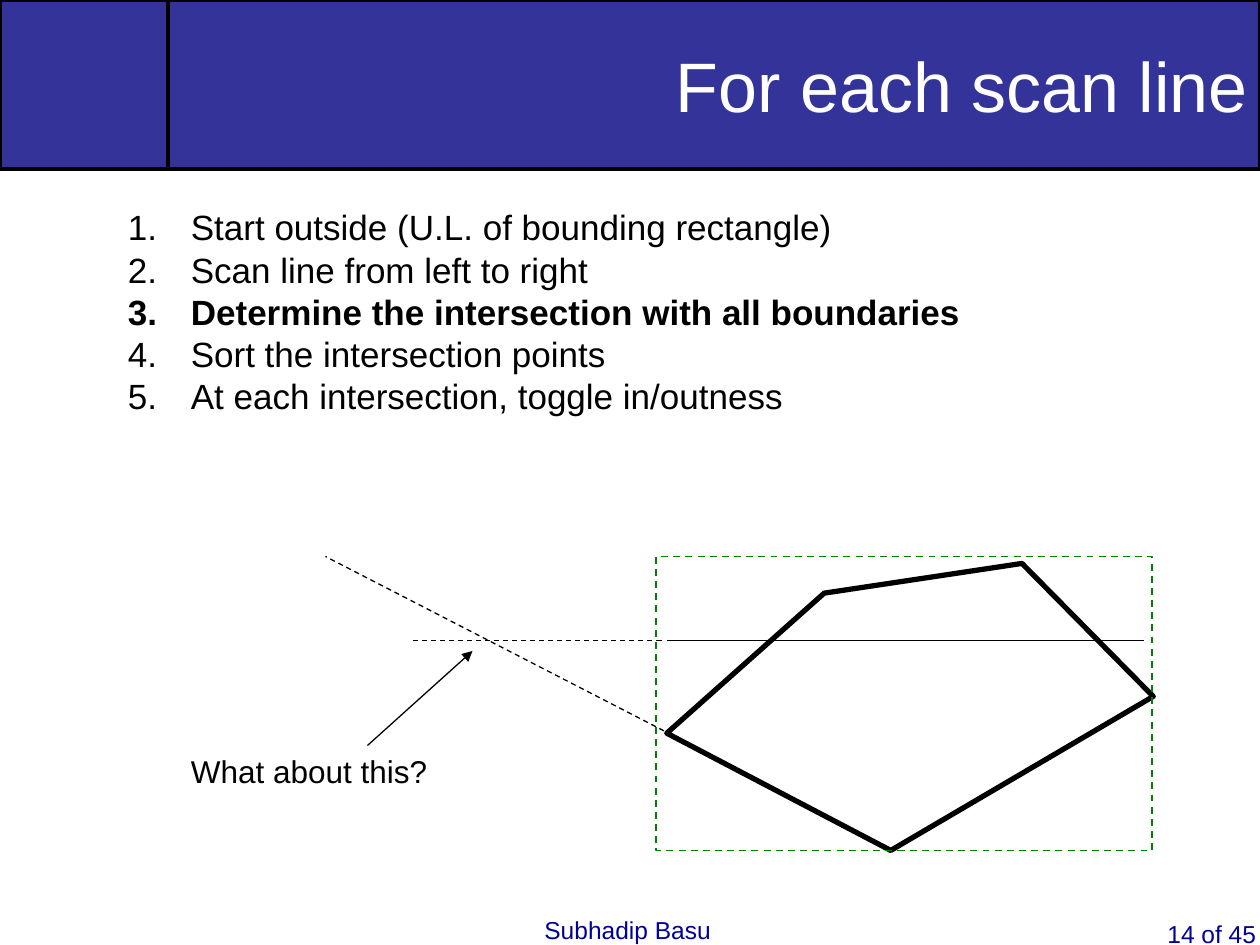
from lxml import etree
from pptx import Presentation
from pptx.dml.color import RGBColor
from pptx.enum import dml, shapes, text
from pptx.oxml.ns import qn
from pptx.util import Pt

BLACK = RGBColor(0, 0, 0)
WHITE = RGBColor(255, 255, 255)
HEADER_BLUE = RGBColor(0x33, 0x33, 0x99)
FOOTER_BLUE = RGBColor(0, 0, 0x99)
BOUNDS_GREEN = RGBColor(0, 0x80, 0)
FONT = "Arial"
STEPS = [
    "Start outside (U.L. of bounding rectangle)",
    "Scan line from left to right",
    "Determine the intersection with all boundaries",
    "Sort the intersection points",
    "At each intersection, toggle in/outness",
]
KEY_STEP = 2


def set_line(shape, color, width, dashed=False):
    """Format the line of a shape or connector."""
    shape.line.color.rgb = color
    shape.line.width = Pt(width)
    if dashed:
        shape.line.dash_style = dml.MSO_LINE.DASH


def set_font(paragraph, size, color, bold=False):
    """Format every run of a paragraph."""
    for run in paragraph.runs:
        run.font.name = FONT
        run.font.size = Pt(size)
        run.font.color.rgb = color
        run.font.bold = bold


def fill_header(shape):
    """Give a header panel its fill and border."""
    shape.fill.solid()
    shape.fill.fore_color.rgb = HEADER_BLUE
    set_line(shape, BLACK, 2)


def add_header(slide, left, top, width, height):
    """Place the square corner panel and the title beside it."""
    corner_width = 96
    corner = slide.shapes.add_shape(
        shapes.MSO_SHAPE.RECTANGLE, Pt(left), Pt(top), Pt(corner_width), Pt(height))
    corner.shadow.inherit = False
    fill_header(corner)

    title = slide.shapes.title
    title.left, title.top = Pt(left + corner_width), Pt(top)
    title.width, title.height = Pt(width - corner_width), Pt(height)
    fill_header(title)
    title.text_frame.text = "For each scan line"
    title.text_frame.vertical_anchor = text.MSO_ANCHOR.MIDDLE
    paragraph = title.text_frame.paragraphs[0]
    paragraph.alignment = text.PP_ALIGN.RIGHT
    set_font(paragraph, 40, WHITE)


def add_label(slide, left, top, width, height, wording, size, color):
    """Place a single line of text with no inset on its right."""
    label = slide.shapes.add_textbox(Pt(left), Pt(top), Pt(width), Pt(height))
    label.text_frame.word_wrap = True
    label.text_frame.margin_right = 0
    label.text_frame.text = wording
    set_font(label.text_frame.paragraphs[0], size, color)


def add_steps(slide, left, top, width, height):
    """Place the numbered list of algorithm steps."""
    frame = slide.shapes.add_textbox(Pt(left), Pt(top), Pt(width), Pt(height)).text_frame
    frame.word_wrap = True
    frame.text = "\n".join(STEPS)
    for index, paragraph in enumerate(frame.paragraphs):
        paragraph.line_spacing = Pt(24.1)
        properties = paragraph._p.get_or_add_pPr()
        properties.set("marL", str(Pt(72)))
        properties.set("indent", str(Pt(-36)))
        etree.SubElement(properties, qn("a:buAutoNum"), type="arabicPeriod")
        set_font(paragraph, 20, BLACK, bold=index == KEY_STEP)


def add_line(slide, start, end, dashed=False, arrow=False):
    """Draw a thin straight line between two points."""
    line = slide.shapes.add_connector(
        shapes.MSO_CONNECTOR.STRAIGHT, *(Pt(value) for value in (*start, *end)))
    set_line(line, BLACK, 0.75, dashed)
    if arrow:
        etree.SubElement(line.line._get_or_add_ln(), qn("a:tailEnd"), type="triangle")
    etree.SubElement(line._element.spPr, qn("a:effectLst"))


def add_diagram(slide, left, top, width, height):
    """Draw the polygon, its bounds, the scan line and the outside crossing."""
    def at(x, y):
        return left + x, top + y

    vertices = [at(195, 101), at(285, 21), at(398, 4.5), at(473, 80), at(323, 168)]
    builder = slide.shapes.build_freeform(*vertices[0], scale=float(Pt(1)))
    builder.add_line_segments(vertices[1:], close=True)
    polygon = builder.convert_to_shape()
    polygon.shadow.inherit = False
    polygon.fill.background()
    set_line(polygon, BLACK, 3)

    bounds_width = 283.5
    bounds = slide.shapes.add_shape(
        shapes.MSO_SHAPE.RECTANGLE, Pt(left + width - bounds_width), Pt(top),
        Pt(bounds_width), Pt(height))
    bounds.shadow.inherit = False
    bounds.fill.background()
    set_line(bounds, BOUNDS_GREEN, 1, dashed=True)

    scan_height = 48
    add_line(slide, at(195, scan_height), at(468, scan_height))
    add_line(slide, at(192, scan_height), at(48, scan_height), dashed=True)
    add_line(slide, at(198, 102), at(0, 0), dashed=True)
    add_line(slide, at(24, 108), at(84, 54), arrow=True)
    add_label(slide, *at(-84, 108), 150, 29, "What about this?", 18, BLACK)


def add_footer(slide, left, top, width, height):
    """Place the author and the page number."""
    add_label(slide, left + 304, top, 110, height, "Subhadip Basu", 14, FOOTER_BLUE)
    add_label(slide, left + width - 60, top + 2, 60, height - 2, "14 of 45", 14, FOOTER_BLUE)


def main():
    """Build the slide and save it."""
    presentation = Presentation()
    presentation.slide_width, presentation.slide_height = Pt(720), Pt(540)
    slide = presentation.slides.add_slide(presentation.slide_layouts[5])
    add_header(slide, 0, 0, 720, 96.75)
    add_steps(slide, 30, 114, 648, 151)
    add_diagram(slide, 186, 318, 472.5, 168)
    add_footer(slide, 0, 519.5, 720, 20.5)
    presentation.save("out.pptx")


if __name__ == "__main__":
    main()
